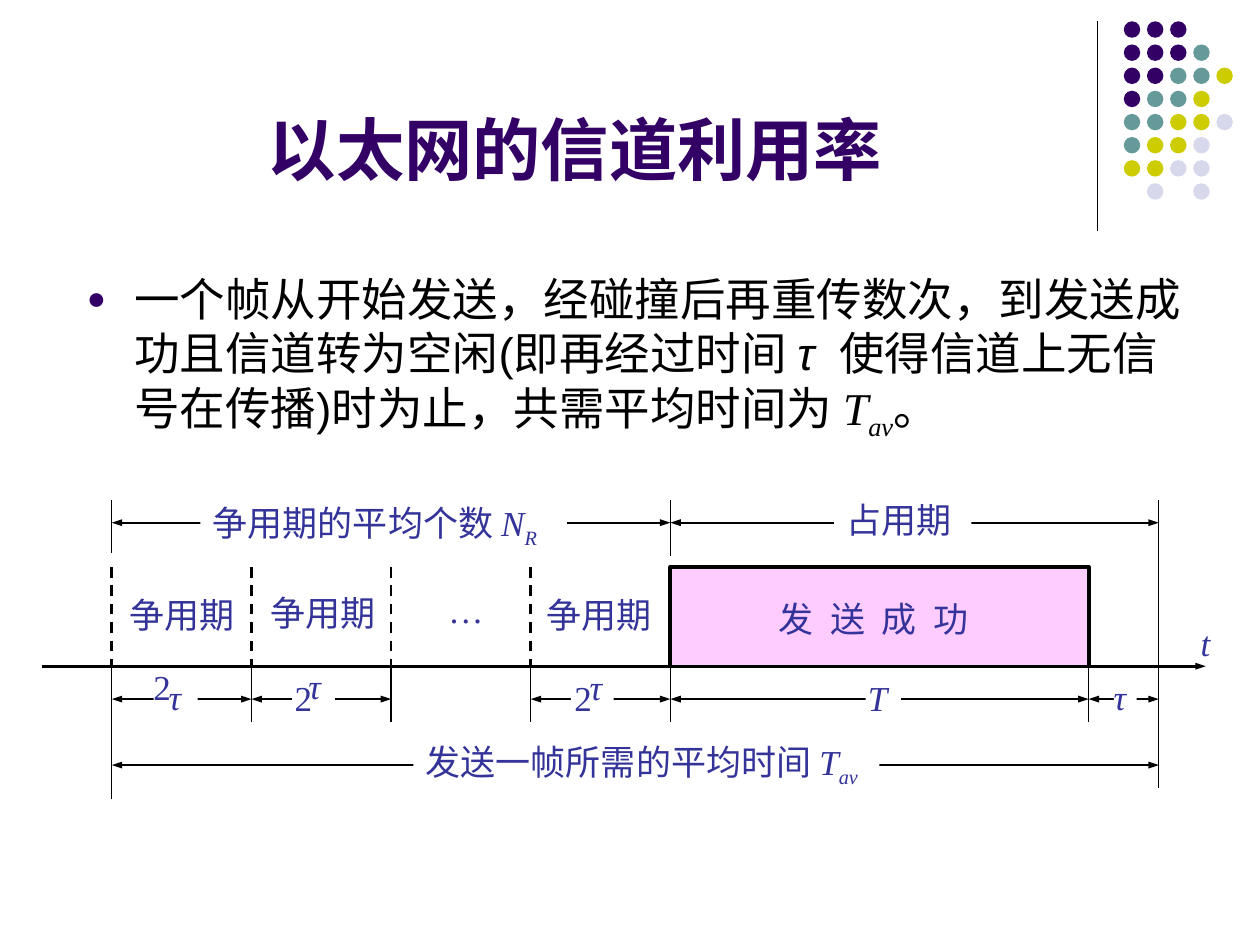
import pptx
import pptx.util
import pptx.dml.color
import pptx.enum.dml
import pptx.enum.shapes
import pptx.enum.text
from lxml import etree
from pptx.oxml.ns import qn

Pt = pptx.util.Pt

COLORS = {"purple": "330066", "teal": "669999", "olive": "CCCC00", "lavender": "D8D8EC",
          "ink": "000000", "label": "333399", "pink": "FFCCFF", "white": "FFFFFF"}

DOT_ROWS = ["PPP", "PPPT", "PPTTO", "PTTO", "TTOOL", "TOOL", "OOLL", "-L-L"]
DOT_COLORS = {"P": "purple", "T": "teal", "O": "olive", "L": "lavender"}
DOT_LEFT, DOT_TOP, DOT_PITCH, DOT_SIZE = 642.2, 12.2, 13.22, 9.4

# A run is (text, style); style holds italic, bold, base, font and spacing.
ITALIC = {"italic": True}
SUBSCRIPT = {"italic": True, "base": -25000}
SERIF = {"font": "Times New Roman"}
TITLE = [("以太网的信道利用率 ", {"bold": True})]
BODY = [("一个帧从开始发送，经碰撞后再重传数次，到发送成功且信道转为空闲(即再经过时间 ", {}),
        ("τ", ITALIC), (" ", {"italic": True, "spacing": 7}),
        ("使得信道上无信号在传播)时为止，共需平均时间为 ", {}),
        ("T", ITALIC | SERIF), ("av", SUBSCRIPT | SERIF), ("。", {})]

# Time axis: edges of the contention slots, the transmission and the last delay
SLOT_START, SLOT_WIDTH = 63.9, 79.8
SLOT_EDGES = [SLOT_START + SLOT_WIDTH * i for i in range(5)]
START, SENT, END = SLOT_EDGES[0], 622.1, 662.2
SUCCESS = SLOT_EDGES[4]
AXIS_Y, BLOCK_TOP = 380.7, 324
TOP_Y, SLOT_Y, TOTAL_Y = 298.7, 399.5, 437.2

DIMENSIONS = [(START, END, TOTAL_Y), (START, SUCCESS, TOP_Y), (SUCCESS, END, TOP_Y),
              (SENT, END, SLOT_Y), (SUCCESS, SENT, SLOT_Y)]
DIMENSIONS += [(SLOT_EDGES[i], SLOT_EDGES[i + 1], SLOT_Y) for i in (0, 1, 3)]

# White gaps in the dimension lines: left, top, width, height
GAPS = [(636.5, 391.7, 13, 16.6), (326.2, 391, 24.5, 20.2), (167, 385.2, 24.5, 18),
        (87.8, 381.6, 25.2, 25.9), (494.6, 386.6, 20.2, 25.2)]

# x, top, bottom
TICKS = [(START, AXIS_Y, 456.5), (END, AXIS_Y, 450), (START, 286, 316), (SUCCESS, 286, 317.5),
         (END, 286, AXIS_Y)]
TICKS += [(x, AXIS_Y, 412.3) for x in SLOT_EDGES[1:] + [SENT]]

# left, top, width, height, runs, fill
SLOT_LABEL, TAU, TWO = [("争用期", {})], [("τ", ITALIC)], [("2", {})]
LABELS = [
    (437.8, 337.7, 126, 31.7, [("发 送 成 功", {"spacing": 2.5})], None),
    (67, 335.8, 78.5, 31.7, SLOT_LABEL, None),
    (147.7, 334.6, 78.5, 31.7, SLOT_LABEL, None),
    (305.2, 335.8, 78.5, 31.7, SLOT_LABEL, None),
    (249.1, 332.6, 34.6, 31.7, [("…", {})], None),
    (89.3, 382.3, 21.6, 31.7, TAU, None),
    (80.6, 376.6, 24.5, 31.7, TWO, None),
    (169.2, 376, 21.6, 31.7, TAU, None),
    (161.3, 383, 24.5, 31.7, TWO, None),
    (329.8, 376.6, 21.6, 31.7, TAU, None),
    (321.1, 383, 24.5, 31.7, TWO, None),
    (488.9, 383, 31, 34.6, [("T", ITALIC), ("0", {"base": -25000})], None),
    (629.3, 382.3, 21.6, 31.7, TAU, None),
    (679, 351.4, 19.4, 31.7, [("t", ITALIC)], None),
    (476.6, 281.5, 78.5, 31.7, SLOT_LABEL[:0] + [("占用期", {})], "white"),
    (114.5, 283, 209.5, 34.6, [("争用期的平均个数 ", {}), ("N", ITALIC), ("R", SUBSCRIPT)], "white"),
    (236.2, 419.8, 266.4, 34.6, [("发送一帧所需的平均时间 ", {}), ("T", ITALIC), ("av", SUBSCRIPT)],
     "white"),
]


def rgb(name):
    return pptx.dml.color.RGBColor.from_string(COLORS[name])


def add_line(slide, x1, y1, x2, y2, width, head=False, tail=False, dashed=False):
    line = slide.shapes.add_connector(pptx.enum.shapes.MSO_CONNECTOR.STRAIGHT,
                                      Pt(x1), Pt(y1), Pt(x2), Pt(y2))
    line.line.color.rgb = rgb("ink")
    line.line.width = Pt(width)
    if dashed:
        line.line.dash_style = pptx.enum.dml.MSO_LINE.DASH
    outline = line.line._get_or_add_ln()
    for wanted, tag in ((head, "a:headEnd"), (tail, "a:tailEnd")):
        if wanted:
            etree.SubElement(outline, qn(tag), type="triangle", w="sm", len="med")
    etree.SubElement(line._element.spPr, qn("a:effectLst"))


def add_filled(slide, kind, left, top, width, height, color):
    shape = slide.shapes.add_shape(kind, Pt(left), Pt(top), Pt(width), Pt(height))
    shape.shadow.inherit = False
    shape.fill.solid()
    shape.fill.fore_color.rgb = rgb(color)
    shape.line.fill.background()


def add_text(slide, left, top, width, height, runs, size, color, font, wrap=False):
    """Add a text box of one paragraph and return the box."""
    box = slide.shapes.add_textbox(Pt(left), Pt(top), Pt(width), Pt(height))
    frame = box.text_frame
    frame.word_wrap = wrap
    if not wrap:
        frame.auto_size = pptx.enum.text.MSO_AUTO_SIZE.SHAPE_TO_FIT_TEXT
    for text, style in runs:
        run = frame.paragraphs[0].add_run()
        run.text = text
        run.font.size = Pt(size)
        run.font.name = style.get("font", font)
        run.font.color.rgb = rgb(color)
        run.font.bold = style.get("bold", False)
        run.font.italic = style.get("italic", False)
        properties = run._r.get_or_add_rPr()
        if "base" in style:
            properties.set("baseline", str(style["base"]))
        if "spacing" in style:
            properties.set("spc", str(int(style["spacing"] * 100)))
    return box


def add_bullet(paragraph):
    properties = paragraph._p.get_or_add_pPr()
    properties.set("marL", str(Pt(27)))
    properties.set("indent", str(-Pt(27)))
    color = etree.SubElement(properties, qn("a:buClr"))
    etree.SubElement(color, qn("a:srgbClr"), val=COLORS["purple"])
    etree.SubElement(properties, qn("a:buSzPct"), val="70000")
    etree.SubElement(properties, qn("a:buFont"), typeface="Arial")
    etree.SubElement(properties, qn("a:buChar"), char="●")


def add_decoration(slide):
    add_line(slide, 627.1, 12.2, 627.1, 131.8, 0.75)
    for row, letters in enumerate(DOT_ROWS):
        for column, letter in enumerate(letters):
            if letter in DOT_COLORS:
                add_filled(slide, pptx.enum.shapes.MSO_SHAPE.OVAL, DOT_LEFT + column * DOT_PITCH,
                           DOT_TOP + row * DOT_PITCH, DOT_SIZE, DOT_SIZE, DOT_COLORS[letter])


def add_success_block(slide):
    builder = slide.shapes.build_freeform(Pt(SUCCESS), Pt(AXIS_Y))
    corners = [(SUCCESS, BLOCK_TOP), (SENT, BLOCK_TOP), (SENT, AXIS_Y)]
    builder.add_line_segments([(Pt(x), Pt(y)) for x, y in corners], close=False)
    block = builder.convert_to_shape()
    block.shadow.inherit = False
    block.fill.solid()
    block.fill.fore_color.rgb = rgb("pink")
    block.line.color.rgb = rgb("ink")
    block.line.width = Pt(2.25)


def add_timeline(slide):
    for x1, x2, y in DIMENSIONS:
        add_line(slide, x1, y, x2, y, 1, head=True, tail=True)
    for gap in GAPS:
        add_filled(slide, pptx.enum.shapes.MSO_SHAPE.RECTANGLE, *gap, "white")
    add_success_block(slide)
    for x in SLOT_EDGES[:4]:
        add_line(slide, x, BLOCK_TOP, x, AXIS_Y, 1.5, dashed=True)
    for x, top, bottom in TICKS:
        add_line(slide, x, top, x, bottom, 0.75)
    for left, top, width, height, runs, fill in LABELS:
        box = add_text(slide, left, top, width, height, runs, 20, "label", "Times New Roman")
        if fill:
            box.fill.solid()
            box.fill.fore_color.rgb = rgb(fill)
    add_line(slide, 24, AXIS_Y, 689, AXIS_Y, 1.5, tail=True)


def main():
    presentation = pptx.Presentation()
    presentation.slide_width, presentation.slide_height = Pt(720), Pt(540)
    slide = presentation.slides.add_slide(presentation.slide_layouts[6])
    add_decoration(slide)
    title = add_text(slide, 36, 9.4, 594, 102.2, TITLE, 39, "purple", "Arial", wrap=True)
    title.text_frame.vertical_anchor = pptx.enum.text.MSO_ANCHOR.BOTTOM
    title.text_frame.paragraphs[0].alignment = pptx.enum.text.PP_ALIGN.CENTER
    body = add_text(slide, 42.5, 151.2, 646.6, 181.4, BODY, 26, "ink", "Arial", wrap=True)
    add_bullet(body.text_frame.paragraphs[0])
    add_timeline(slide)
    presentation.save("out.pptx")


if __name__ == "__main__":
    main()
